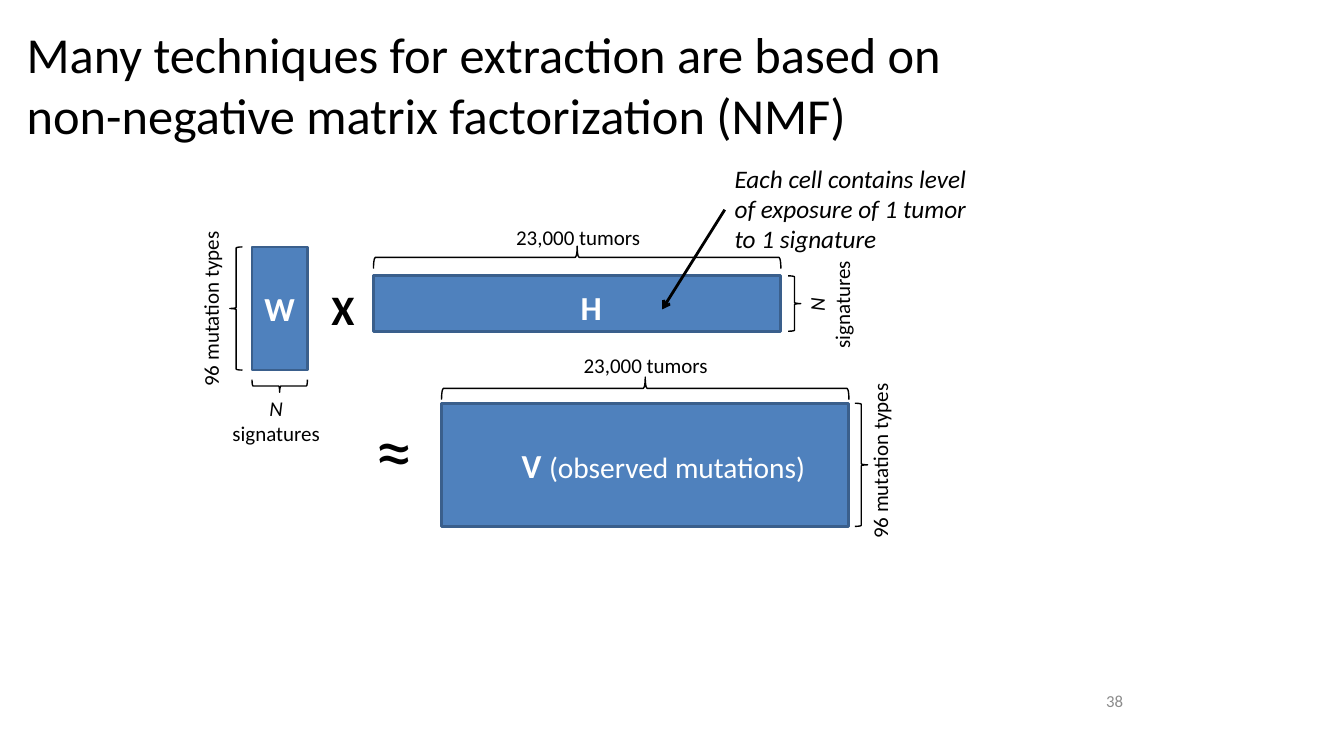
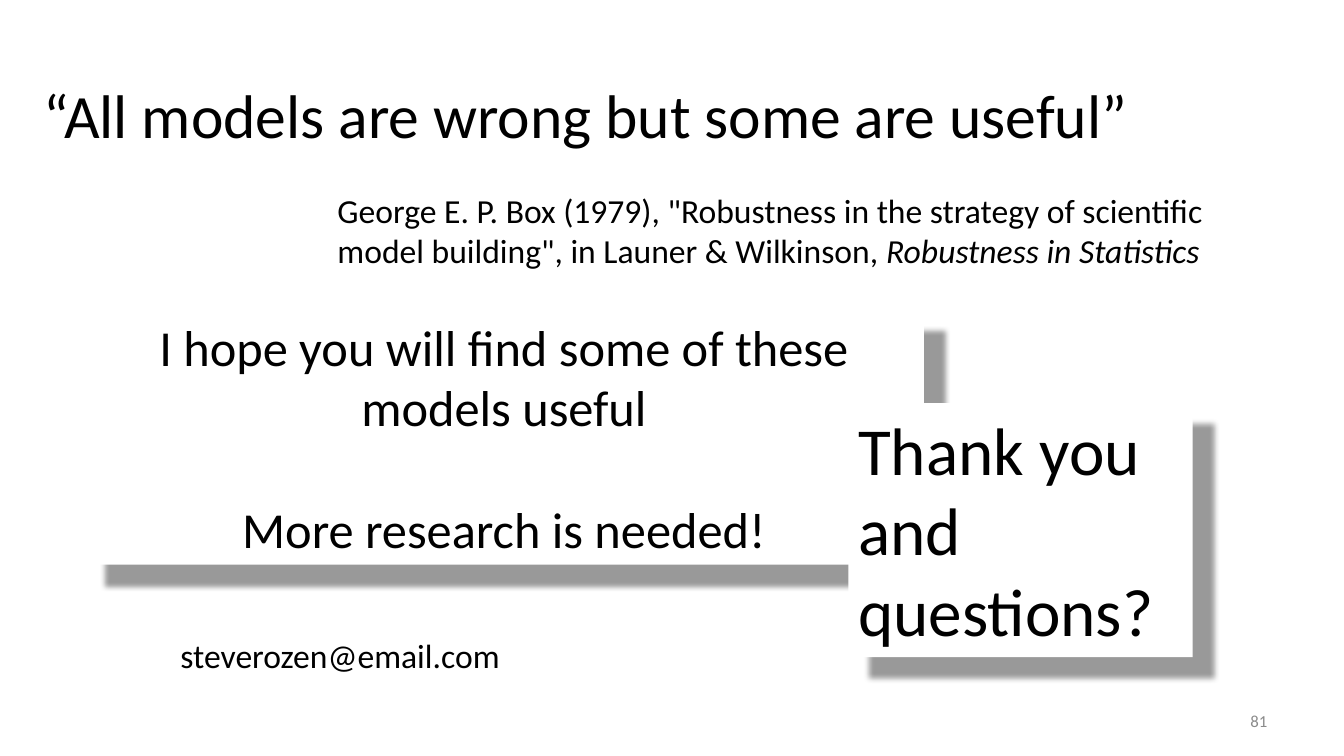
from lxml import etree
from pptx import Presentation
from pptx.dml.color import RGBColor
from pptx.enum import shapes as sh, text as tx
from pptx.oxml.ns import qn
from pptx.util import Pt

FONT = "Calibri"
BLACK = RGBColor(0x00, 0x00, 0x00)
WHITE = RGBColor(0xFF, 0xFF, 0xFF)
BLUE = RGBColor(0x4F, 0x81, 0xBD)
NAVY = RGBColor(0x3A, 0x5F, 0x8C)
GREY = RGBColor(0x8B, 0x8B, 0x8B)

LEFT, MID, RIGHT = tx.PP_ALIGN.LEFT, tx.PP_ALIGN.CENTER, tx.PP_ALIGN.RIGHT
TOP, HALF = tx.MSO_ANCHOR.TOP, tx.MSO_ANCHOR.MIDDLE
RECT = sh.MSO_SHAPE.RECTANGLE

TYPES = [[("96 mutation types", "")]]
TUMORS = [[("23,000 tumors", "")]]
SIGNS = [[("N", "i")], [("signatures", "")]]


def write(frame, paras, size, color=BLACK, align=LEFT, gap=0):
    """Fill a frame; a run is (text, "b" / "i" / "", own size if any)."""
    for n, runs in enumerate(paras):
        para = frame.paragraphs[0] if n == 0 else frame.add_paragraph()
        para.alignment = align
        if n and gap:
            para.space_before = Pt(gap)
        for words, style, *own in runs:
            for k, line in enumerate(words.split("\n")):
                if k:
                    para.add_line_break()
                run = para.add_run()
                run.text = line
                font = run.font
                font.name, font.size = FONT, Pt(own[0] if own else size)
                font.bold, font.italic = "b" in style, "i" in style
                font.color.rgb = color


def text(slide, x, y, w, h, paras, size, color=BLACK, align=LEFT,
         anchor=TOP, wrap=True):
    box = slide.shapes.add_textbox(Pt(x), Pt(y), Pt(w), Pt(h))
    frame = box.text_frame
    frame.word_wrap, frame.vertical_anchor = wrap, anchor
    write(frame, paras, size, color, align)
    return box


def title(slide, x, y, w, h, words, size):
    text(slide, x, y, w, h, [[(words, "")]], size, anchor=HALF)


def number(slide, x, y, w, h, words):
    text(slide, x, y, w, h, [[(words, "")]], 12, GREY, RIGHT, HALF)


def label(slide, x, y, paras, turn=0):
    """Small caption centred on (x, y)."""
    w, h = 126, 7.2 + 18.3 * len(paras)
    box = text(slide, x - w / 2, y - h / 2, w, h, paras, 15, align=MID,
               wrap=False)
    box.rotation = turn


def shape(slide, kind, x, y, w, h):
    item = slide.shapes.add_shape(kind, Pt(x), Pt(y), Pt(w), Pt(h))
    item.shadow.inherit = False
    return item


def matrix(slide, area, runs, left=7.2, top=3.6):
    """Blue block; the insets shift its text off centre."""
    item = shape(slide, RECT, *area)
    item.fill.solid()
    item.fill.fore_color.rgb = BLUE
    item.line.color.rgb, item.line.width = NAVY, Pt(2)
    frame = item.text_frame
    frame.margin_left, frame.margin_top = Pt(left), Pt(top)
    frame.vertical_anchor = HALF
    write(frame, [runs], 24, WHITE, MID)


def brace(slide, area, side, gap, deep=9):
    """Brace that spans one side of an area and points away from it."""
    x, y, w, h = area
    span = h if side in ("left", "right") else w
    cx, cy = x + w / 2, y + h / 2
    off = gap + deep / 2
    kind, turn, cx, cy = {
        "left": (sh.MSO_SHAPE.LEFT_BRACE, 0, x - off, cy),
        "right": (sh.MSO_SHAPE.LEFT_BRACE, 180, x + w + off, cy),
        "top": (sh.MSO_SHAPE.RIGHT_BRACE, 270, cx, y - off),
        "base": (sh.MSO_SHAPE.LEFT_BRACE, 270, cx, y + h + off),
    }[side]
    item = shape(slide, kind, cx - deep / 2, cy - span / 2, deep, span)
    item.rotation = turn
    item.fill.background()
    item.line.color.rgb, item.line.width = BLACK, Pt(1)


def arrow(slide, x1, y1, x2, y2):
    item = slide.shapes.add_connector(
        sh.MSO_CONNECTOR.STRAIGHT, Pt(x1), Pt(y1), Pt(x2), Pt(y2))
    item.line.color.rgb, item.line.width = BLACK, Pt(2)
    props = item.element.spPr
    etree.SubElement(props.get_or_add_ln(), qn("a:tailEnd"), type="arrow")
    etree.SubElement(props, qn("a:effectLst"))


def card(slide, x, y, w, h, paras, size, align=LEFT, gap=0):
    """White box with a soft shadow to the lower right."""
    item = shape(slide, RECT, x, y, w, h)
    item.fill.solid()
    item.fill.fore_color.rgb = WHITE
    item.line.fill.background()
    shade = etree.SubElement(
        item.element.spPr.find(qn("a:effectLst")), qn("a:outerShdw"),
        blurRad=str(Pt(4)), dist=str(Pt(21)), dir=str(45 * 60000),
        algn="tl", rotWithShape="0")
    color = etree.SubElement(shade, qn("a:srgbClr"), val=str(BLACK))
    etree.SubElement(color, qn("a:alpha"), val="40000")
    frame = item.text_frame
    frame.word_wrap, frame.vertical_anchor = True, TOP
    write(frame, paras, size, align=align, gap=gap)


def factors(slide):
    title(slide, 12, 6, 810, 108,
          "Many techniques for extraction are based on\n"
          "non-negative matrix factorization (NMF)", 36)

    base = (180, 176.4, 39.6, 88)
    matrix(slide, base, [("W", "b")])
    brace(slide, base, "left", 6.8)
    brace(slide, base, "base", 6.8)
    label(slide, 150.5, 220.7, TYPES, 270)
    label(slide, 197.3, 300.6, SIGNS)

    load = (266.8, 197, 291, 39.6)
    matrix(slide, load, [("H", "b")], 27, 8)
    brace(slide, load, "top", 5.2, 16)
    brace(slide, load, "right", 5.2)
    label(slide, 413, 169.6, TUMORS)
    label(slide, 592.6, 217.8, SIGNS, 270)
    arrow(slide, 517.7, 149.8, 473, 221)
    text(slide, 517.7, 113, 196, 72.7,
         [[("Each cell contains level of exposure of 1 tumor "
            "to 1 signature", "i")]], 18)

    seen = (315.4, 288, 291, 88)
    matrix(slide, seen, [("V ", "b"), ("(observed mutations)", "", 21)], 33)
    brace(slide, seen, "top", 2.6, 16)
    brace(slide, seen, "right", 4.3)
    label(slide, 461.2, 261, TUMORS)
    label(slide, 628.6, 329.4, TYPES, 270)

    text(slide, 229.7, 198.7, 31, 44, [[("X", "b")]], 30, wrap=False)
    text(slide, 261.4, 284.4, 41.8, 72.7, [[("≈", "")]], 54, wrap=False)
    number(slide, 641.5, 489.6, 167.8, 21.6, "38")


def closing(slide):
    title(slide, 24, 36, 864, 90,
          "“All models are wrong but some are useful”", 44)
    number(slide, 688.3, 500.4, 224, 28.8, "81")
    text(slide, 234, 131.8, 678, 64.8,
         [[("George E. P. Box (1979), \"Robustness in the strategy of "
            "scientific model building\", in Launer & Wilkinson, ", ""),
           ("Robustness in Statistics", "i")]], 24)
    card(slide, 60, 222, 600, 181.4,
         [[("I hope you will find some of these models useful", "")],
          [("More research is needed!", "")]], 36, MID, 44)
    card(slide, 606, 288, 246, 181.4,
         [[("Thank you and questions?", "")]], 48)
    text(slide, 120, 450, 244, 36, [[("steverozen@email.com", "")]], 24,
         align=RIGHT, wrap=False)


def main():
    deck = Presentation()
    deck.slide_width, deck.slide_height = Pt(960), Pt(540)
    for build in (factors, closing):
        build(deck.slides.add_slide(deck.slide_layouts[6]))
    deck.save("out.pptx")


if __name__ == "__main__":
    main()
